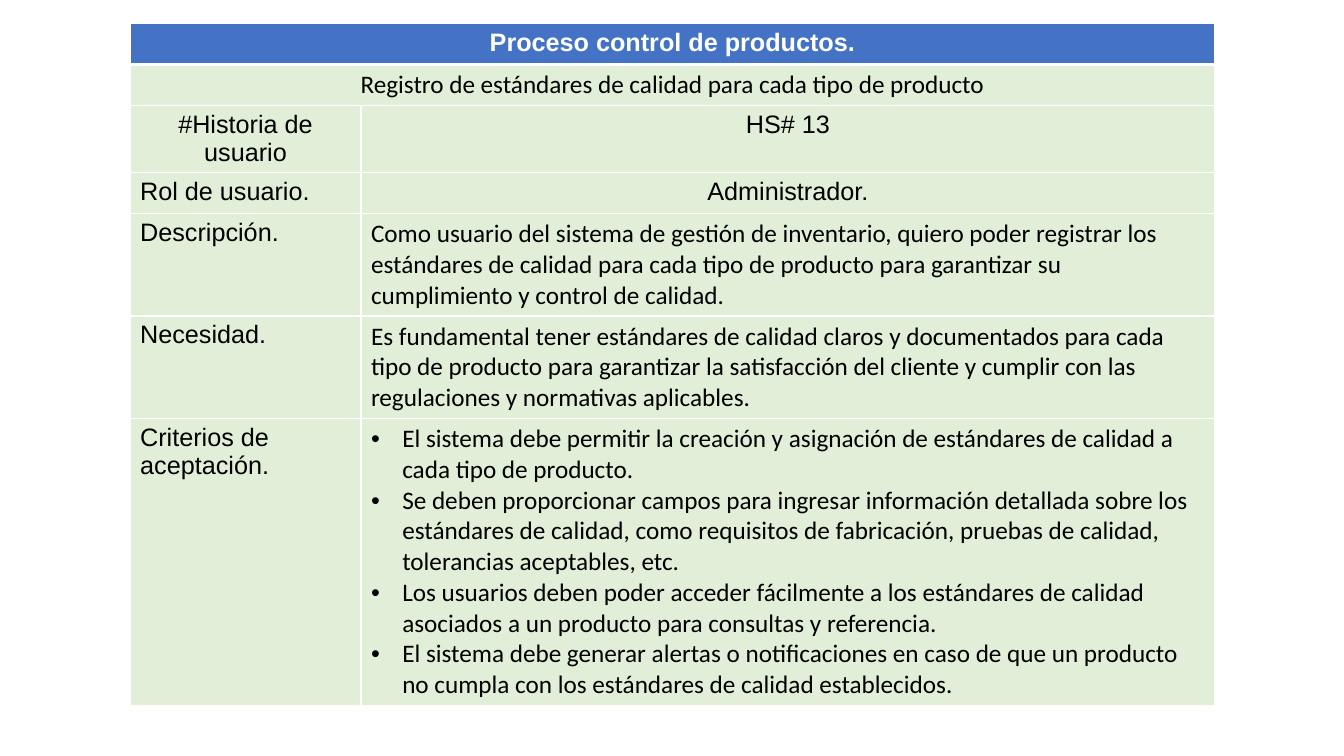
from dataclasses import dataclass

from lxml.etree import SubElement
from pptx import Presentation
from pptx.dml.color import RGBColor
from pptx.enum.text import PP_ALIGN as Align
from pptx.oxml import parse_xml
from pptx.oxml.ns import nsdecls, qn
from pptx.util import Inches, Pt


@dataclass(frozen=True)
class Theme:
    header: str = "4472C4"
    body: str = "E1EFD8"
    light: str = "FFFFFF"
    dark: str = "000000"
    label_font: str = "Arial"
    text_font: str = "Calibri"
    size: int = 18
    rule: int = 1
    header_rule: int = 3


THEME = Theme()
COL_WIDTHS = (2.29, 8.47)
ROW_HEIGHT = 0.41

TITLE = "Proceso control de productos."
STORY = "Registro de estándares de calidad para cada tipo de producto"
CENTERED = dict(align=Align.CENTER)
TEXT = dict(font=THEME.text_font)

# Label, label format, content paragraphs, content format
FIELDS = [
    ("#Historia de usuario", CENTERED, ["HS# 13"], CENTERED),
    ("Rol de usuario.", {}, ["Administrador."], CENTERED),
    ("Descripción.", {}, [
        "Como usuario del sistema de gestión de inventario, quiero poder registrar los "
        "estándares de calidad para cada tipo de producto para garantizar su "
        "cumplimiento y control de calidad."], TEXT),
    ("Necesidad.", {}, [
        "Es fundamental tener estándares de calidad claros y documentados para cada "
        "tipo de producto para garantizar la satisfacción del cliente y cumplir con las "
        "regulaciones y normativas aplicables."], TEXT),
    ("Criterios de aceptación.", {}, [
        "El sistema debe permitir la creación y asignación de estándares de calidad a "
        "cada tipo de producto.",
        "Se deben proporcionar campos para ingresar información detallada sobre los "
        "estándares de calidad, como requisitos de fabricación, pruebas de calidad, "
        "tolerancias aceptables, etc.",
        "Los usuarios deben poder acceder fácilmente a los estándares de calidad "
        "asociados a un producto para consultas y referencia.",
        "El sistema debe generar alertas o notificaciones en caso de que un producto "
        "no cumpla con los estándares de calidad establecidos."],
        dict(font=THEME.text_font, bullet=True)),
]


def add_bullet(p):
    pPr = p._p.get_or_add_pPr()
    pPr.set("marL", str(Inches(0.31)))
    pPr.set("indent", str(Inches(-0.31)))
    color = SubElement(pPr, qn("a:buClr"))
    SubElement(color, qn("a:srgbClr"), val=THEME.dark)
    SubElement(pPr, qn("a:buFont"), typeface="Arial")
    SubElement(pPr, qn("a:buChar"), char="•")


def style_cell(cell, fill, top, bottom):
    cell.fill.solid()
    cell.fill.fore_color.rgb = RGBColor.from_string(fill)
    tcPr = cell._tc.get_or_add_tcPr()
    edges = dict(lnL=THEME.rule, lnR=THEME.rule, lnT=top, lnB=bottom)
    for i, (edge, width) in enumerate(edges.items()):
        tcPr.insert(i, parse_xml(
            f'<a:{edge} {nsdecls("a")} w="{Pt(width)}"><a:solidFill>'
            f'<a:srgbClr val="{THEME.light}"/></a:solidFill></a:{edge}>'))


def write_cell(cell, lines, font=THEME.label_font, color=THEME.dark,
               bold=False, align=Align.LEFT, bullet=False):
    tf = cell.text_frame
    for i, line in enumerate(lines):
        p = tf.add_paragraph() if i else tf.paragraphs[0]
        p.alignment = align
        if bullet:
            add_bullet(p)
        r = p.add_run()
        r.text = line
        r.font.name = font
        r.font.size = Pt(THEME.size)
        r.font.bold = bold
        r.font.color.rgb = RGBColor.from_string(color)


def add_story_table(s):
    rows = len(FIELDS) + 2
    table = s.shapes.add_table(
        rows, len(COL_WIDTHS), Inches(1.29), Inches(0.23),
        Inches(sum(COL_WIDTHS)), Inches(ROW_HEIGHT * rows)).table
    for column, width in zip(table.columns, COL_WIDTHS):
        column.width = Inches(width)

    # Fills and borders, with a thicker rule under the header
    for i, row in enumerate(table.rows):
        row.height = Inches(ROW_HEIGHT)
        for cell in row.cells:
            style_cell(cell, THEME.body if i else THEME.header,
                       top=THEME.header_rule if i == 1 else THEME.rule,
                       bottom=THEME.rule if i else THEME.header_rule)

    # Full-width title rows
    for i in range(2):
        table.cell(i, 0).merge(table.cell(i, 1))
    write_cell(table.cell(0, 0), [TITLE], color=THEME.light, bold=True, **CENTERED)
    write_cell(table.cell(1, 0), [STORY], **TEXT, **CENTERED)

    # Label and content rows
    for i, (label, label_format, lines, text_format) in enumerate(FIELDS, start=2):
        write_cell(table.cell(i, 0), [label], **label_format)
        write_cell(table.cell(i, 1), lines, **text_format)


def main():
    prs = Presentation()
    prs.slide_width, prs.slide_height = Inches(13.33), Inches(7.5)
    s = prs.slides.add_slide(prs.slide_layouts[6])
    add_story_table(s)
    prs.save("out.pptx")


if __name__ == "__main__":
    main()
